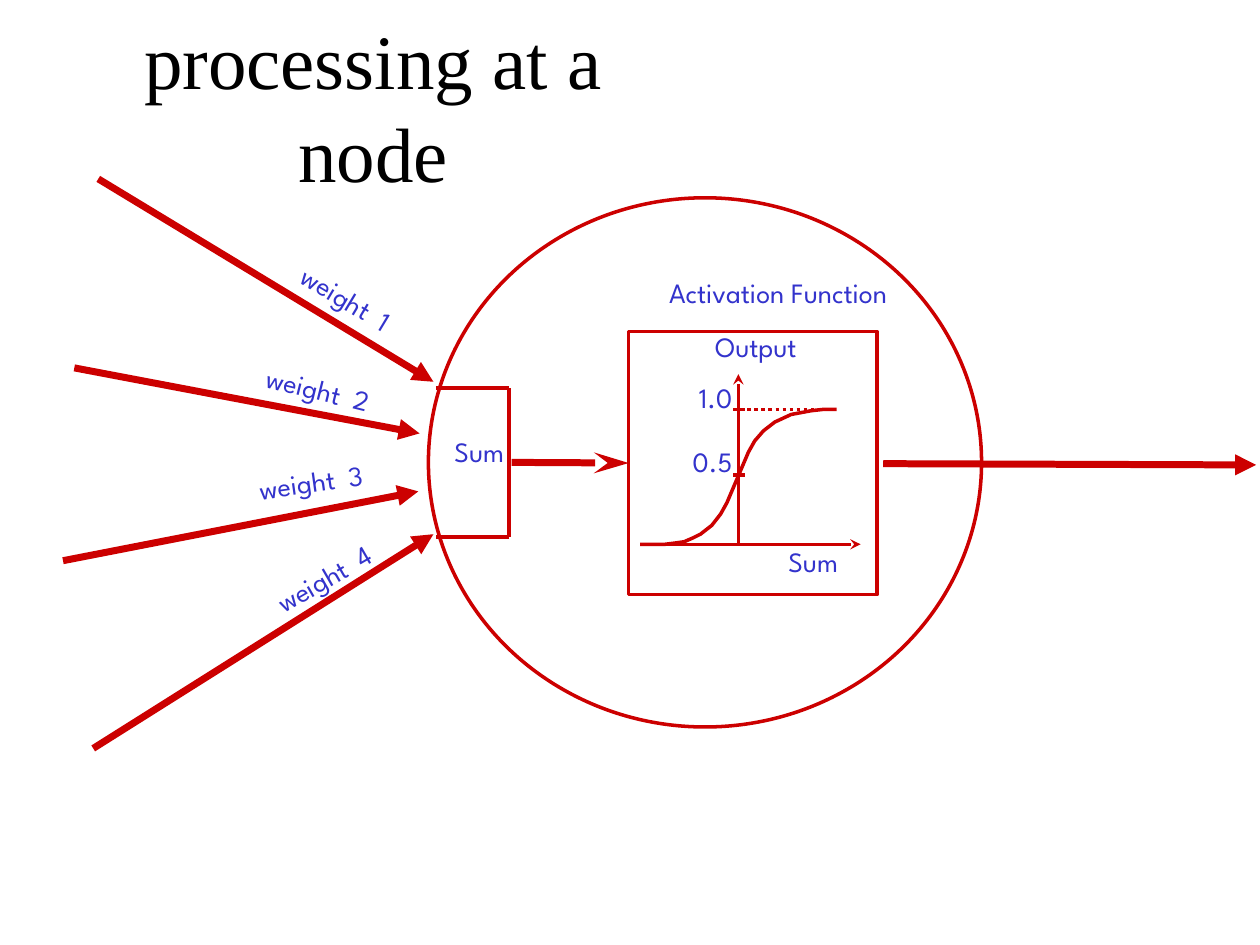
from lxml import etree
from pptx import Presentation
from pptx.dml.color import RGBColor
from pptx.enum.dml import MSO_LINE
from pptx.enum.shapes import MSO_CONNECTOR, MSO_SHAPE
from pptx.enum.text import MSO_ANCHOR, PP_ALIGN
from pptx.oxml.ns import qn
from pptx.util import Inches, Pt

RED, BLUE, BLACK = "CC0000", "3333CC", "000000"

prs = Presentation()
prs.slide_width, prs.slide_height = Inches(10), Inches(7.5)
s = prs.slides.add_slide(prs.slide_layouts[6])


def add_text(text, x, y, w, h=0.37, size=16, font="League Spartan",
             color=BLUE, align=PP_ALIGN.RIGHT, anchor=MSO_ANCHOR.TOP, rotation=0):
    tb = s.shapes.add_textbox(Inches(x), Inches(y), Inches(w), Inches(h))
    tb.rotation = rotation
    tf = tb.text_frame
    tf.word_wrap = True
    tf.vertical_anchor = anchor
    tf.margin_left = 0 if align == PP_ALIGN.RIGHT else Inches(0.1)
    p = tf.paragraphs[0]
    p.alignment = align
    r = p.add_run()
    r.text = text
    r.font.size = Pt(size)
    r.font.name = font
    r.font.color.rgb = RGBColor.from_string(color)


def add_line(start, end, width=2, arrow=None, length="med", dash=None):
    ln = s.shapes.add_connector(MSO_CONNECTOR.STRAIGHT,
                                *[Inches(v) for v in (*start, *end)])
    ln.line.color.rgb = RGBColor.from_string(RED)
    ln.line.width = Pt(width)
    if dash:
        ln.line.dash_style = dash
    if arrow:
        etree.SubElement(ln.line._get_or_add_ln(), qn("a:tailEnd"),
                         type=arrow, w="med", len=length)
    etree.SubElement(ln._element.spPr, qn("a:effectLst"))
    return ln


# Sigmoid curve, in hundredths of an inch
curve = [(508, 432), (528, 432), (536, 431), (543, 430), (550, 427), (556, 424),
         (565, 417), (572, 408), (577, 399), (594, 359), (599, 350), (606, 342),
         (615, 335), (628, 329), (644, 326), (653, 325), (664, 325)]
fb = s.shapes.build_freeform(*curve[0], scale=Inches(0.01))
fb.add_line_segments(curve[1:], close=False)
sigmoid = fb.convert_to_shape()

# Node circle and activation function box
box = s.shapes.add_shape(MSO_SHAPE.RECTANGLE, Inches(4.99), Inches(2.63),
                         Inches(1.97), Inches(2.09))
node = s.shapes.add_shape(MSO_SHAPE.OVAL, Inches(3.4), Inches(1.57),
                          Inches(4.39), Inches(4.2))
for sp in (sigmoid, box, node):
    sp.shadow.inherit = False
    sp.fill.background()
    sp.line.color.rgb = RGBColor.from_string(RED)
    sp.line.width = Pt(2)

# Plot axes, tick marks and upper limit
add_line((5.08, 4.32), (6.83, 4.32), arrow="stealth")
add_line((5.86, 4.32), (5.86, 2.97), arrow="stealth")
add_line((5.82, 3.25), (6.65, 3.25), dash=MSO_LINE.ROUND_DOT)
for y in (3.25, 3.77):
    add_line((5.82, y), (5.91, y))

# Plot and node labels
for text, x, y, w in [("1.0", 5.4, 2.97, 0.51), ("0.5", 5.4, 3.48, 0.51),
                      ("Output", 5.47, 2.57, 0.95), ("Sum", 6.08, 4.27, 0.67),
                      ("Sum", 3.43, 3.4, 0.67),
                      ("Activation Function", 4.95, 2.14, 2.19)]:
    add_text(text, x, y, w)

# Summing bracket
corners = [(3.46, 3.08), (4.04, 3.08), (4.04, 4.26), (3.46, 4.26)]
for start, end in zip(corners, corners[1:]):
    add_line(start, end)

# Sum to activation function, then output
link = add_line((4.06, 3.67), (4.99, 3.67), 4, "stealth", "lg")
link.end_connect(box, 1)
add_line((7.01, 3.68), (9.97, 3.69), 4, "triangle")

# Weighted inputs: arrow start, arrow end, label position, label rotation
inputs = [((0.78, 1.42), (3.44, 3.03), (2.1, 2.14), 31),
          ((0.59, 2.92), (3.33, 3.44), (1.89, 2.89), 14),
          ((0.5, 4.45), (3.32, 3.9), (1.83, 3.65), 352),
          ((0.74, 5.94), (3.44, 4.24), (1.94, 4.44), 330)]
for i, (start, end, pos, angle) in enumerate(inputs, 1):
    add_line(start, end, 4, "triangle")
    add_text(f"weight  {i}", *pos, 1.15, rotation=angle)

# Title
add_text("processing at a node", 0.5, 0.5, 4.92, 0.67, size=44,
         font="Times New Roman", color=BLACK, align=PP_ALIGN.CENTER,
         anchor=MSO_ANCHOR.MIDDLE)

prs.save("out.pptx")
